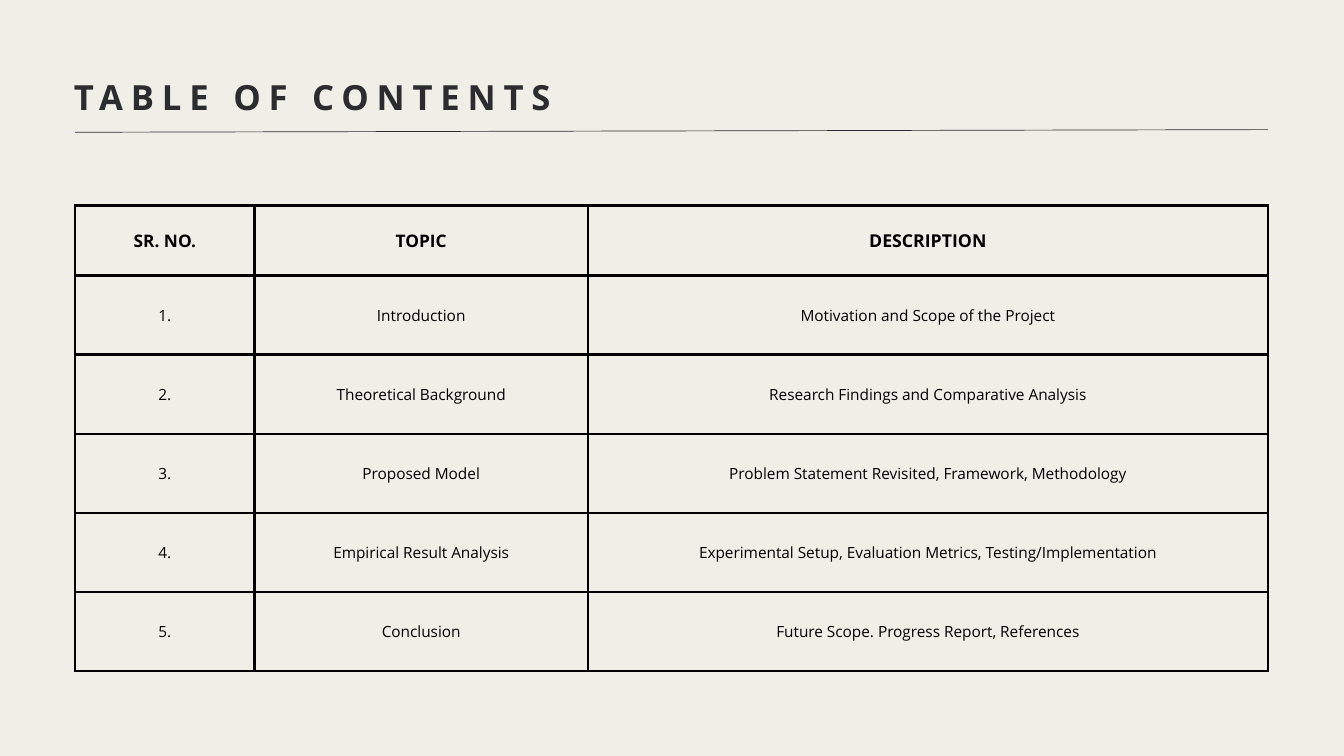
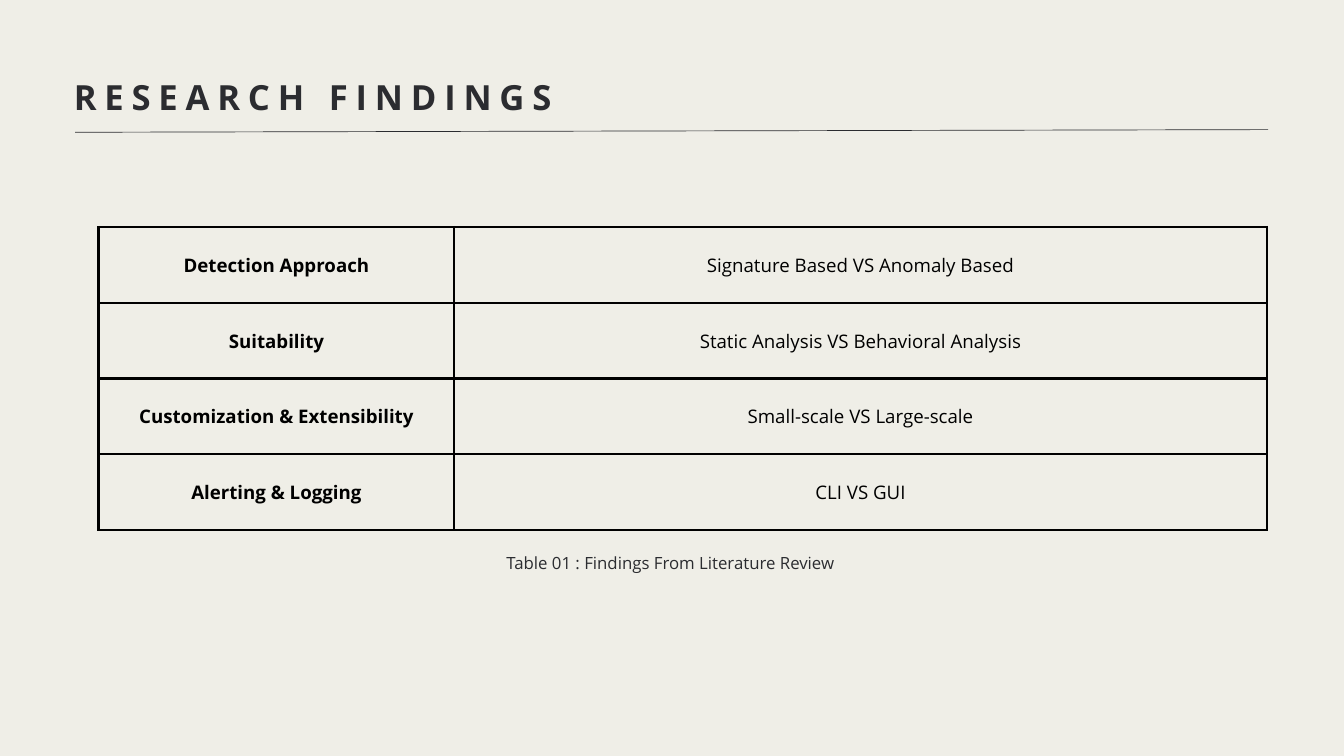
from lxml.etree import SubElement as Sub
from pptx import Presentation
from pptx.dml.color import RGBColor as RGB
from pptx.enum.shapes import MSO_CONNECTOR as CONN
from pptx.enum.text import MSO_ANCHOR as ANCHOR, PP_ALIGN as ALIGN
from pptx.oxml.ns import qn
from pptx.util import Cm, Pt

COLORS = {"paper": "EFEEE7", "ink": "2B2C30", "grid": "000000"}
FONT = "Open Sans"
LEADING = 1.4
INSET = Cm(0.53)

CONTENTS = [
    ("SR. NO.", "TOPIC", "DESCRIPTION"),
    ("1.", "Introduction", "Motivation and Scope of the Project"),
    ("2.", "Theoretical Background", "Research Findings and Comparative Analysis"),
    ("3.", "Proposed Model", "Problem Statement Revisited, Framework, Methodology"),
    ("4.", "Empirical Result Analysis",
     "Experimental Setup, Evaluation Metrics, Testing/Implementation"),
    ("5.", "Conclusion", "Future Scope. Progress Report, References"),
]
FINDINGS = [
    ("Detection Approach", "Signature Based VS Anomaly Based"),
    ("Suitability", "Static Analysis VS Behavioral Analysis"),
    ("Customization & Extensibility", "Small-scale VS Large-scale"),
    ("Alerting & Logging", "CLI VS GUI"),
]


def write(tf, text, size, color="ink", bold=False, align=ALIGN.CENTER, spacing=0):
    p = tf.paragraphs[0]
    p.alignment = align
    p.line_spacing = Pt(round(size * LEADING, 1))
    r = p.add_run()
    r.text = text
    r.font.name = FONT
    r.font.size = Pt(size)
    r.font.bold = bold
    r.font.color.rgb = RGB.from_string(COLORS[color])
    if spacing:
        r.font._element.set("spc", str(round(spacing * 100)))


def add_text(s, text, left, top, width, height, **fmt):
    tf = s.shapes.add_textbox(Cm(left), Cm(top), Cm(width), Cm(height)).text_frame
    tf.word_wrap = True
    tf.margin_left = tf.margin_right = tf.margin_top = tf.margin_bottom = 0
    write(tf, text, **fmt)


def add_rule(s):
    line = s.shapes.add_connector(CONN.STRAIGHT, Cm(2.84), Cm(5), Cm(47.93), Cm(4.9))
    line.line.color.rgb = RGB.from_string(COLORS["ink"])
    line.line.width = Pt(0.75)
    Sub(line._element.spPr, qn("a:effectLst"))


def add_titled_slide(prs, title):
    s = prs.slides.add_slide(prs.slide_layouts[6])
    s.background.fill.solid()
    s.background.fill.fore_color.rgb = RGB.from_string(COLORS["paper"])
    add_rule(s)
    add_text(s, title, 2.79, 2.62, 45.09, 1.8, size=37.1, bold=True,
             align=ALIGN.LEFT, spacing=8.4)
    return s


def set_borders(cell):
    tc_pr = cell._tc.get_or_add_tcPr()
    for side in ("lnL", "lnR", "lnT", "lnB"):
        ln = Sub(tc_pr, qn(f"a:{side}"), w=str(Pt(3)))
        fill = Sub(ln, qn("a:solidFill"))
        Sub(fill, qn("a:srgbClr"), val=COLORS["grid"])


def add_grid(s, rows, left, top, widths, heights, cell_format):
    frame = s.shapes.add_table(len(rows), len(widths), Cm(left), Cm(top),
                               Cm(sum(widths)), Cm(sum(heights)))
    table = frame.table
    table.first_row = table.horz_banding = False
    for column, width in zip(table.columns, widths):
        column.width = Cm(width)
    for i, (row, height) in enumerate(zip(rows, heights)):
        table.rows[i].height = Cm(height)
        for j, text in enumerate(row):
            cell = table.cell(i, j)
            set_borders(cell)
            cell.fill.background()
            cell.vertical_anchor = ANCHOR.MIDDLE
            cell.margin_left = cell.margin_right = INSET
            cell.margin_top = cell.margin_bottom = INSET
            write(cell.text_frame, text, color="grid", **cell_format(i, j))


def contents_format(i, j):
    if i > 0:
        return {"size": 16.5}
    return {"size": 19 if j == 2 else 18.5, "bold": True}


def findings_format(i, j):
    return {"size": 20, "bold": j == 0}


def main():
    prs = Presentation()
    prs.slide_width, prs.slide_height = Cm(50.8), Cm(28.58)

    s = add_titled_slide(prs, "TABLE OF CONTENTS")
    add_grid(s, CONTENTS, 2.84, 7.77, [6.78, 12.6, 25.7],
             [2.65] + [2.99] * 5, contents_format)

    s = add_titled_slide(prs, "RESEARCH FINDINGS")
    add_grid(s, FINDINGS, 3.73, 8.59, [13.44, 30.71], [2.86] * 4, findings_format)
    add_text(s, "Table 01 : Findings From Literature Review",
             6.53, 20.75, 37.62, 0.86, size=18)

    prs.save("out.pptx")


if __name__ == "__main__":
    main()
